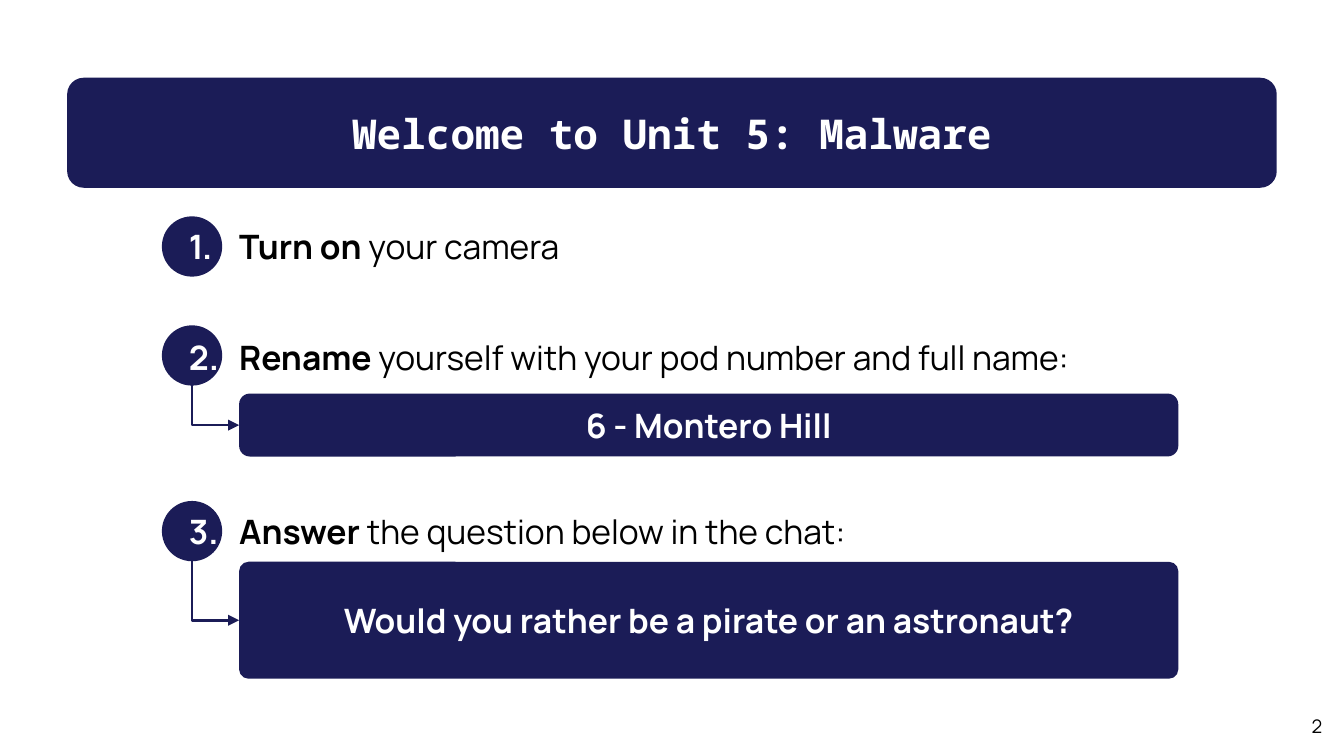
import dataclasses

import lxml.etree
import pptx
import pptx.dml.color
import pptx.enum.shapes
import pptx.enum.text
import pptx.oxml.ns
import pptx.util

Cm = pptx.util.Cm
Pt = pptx.util.Pt
ALIGN = pptx.enum.text.PP_ALIGN
SHAPE = pptx.enum.shapes.MSO_SHAPE
qn = pptx.oxml.ns.qn


@dataclasses.dataclass(frozen=True)
class Theme:
    navy: str = "1B1C57"
    white: str = "FFFFFF"
    black: str = "000000"
    body_font: str = "Manrope"
    title_font: str = "Noto Sans Mono"
    title_size: int = 22
    body_size: int = 18
    number_size: int = 10
    line_width: float = 1.5


def rgb(value):
    return pptx.dml.color.RGBColor.from_string(value)


def add_run(paragraph, text, *, font, size, color, bold=False):
    run = paragraph.add_run()
    run.text = text
    run.font.name = font
    run.font.size = Pt(size)
    run.font.bold = bold
    run.font.color.rgb = rgb(color)


class SlideBuilder:
    def __init__(self, slide, theme):
        self.slide = slide
        self.theme = theme

    def prepare_text(self, shape, align):
        frame = shape.text_frame
        frame.word_wrap = True
        frame.vertical_anchor = pptx.enum.text.MSO_ANCHOR.MIDDLE
        frame.margin_left = frame.margin_right = Cm(0.25)
        frame.margin_top = frame.margin_bottom = Cm(0.25)
        paragraph = frame.paragraphs[0]
        paragraph.alignment = align
        return paragraph

    def filled_shape(self, kind, left, top, width, height):
        shape = self.slide.shapes.add_shape(
            kind, Cm(left), Cm(top), Cm(width), Cm(height))
        shape.shadow.inherit = False
        shape.fill.solid()
        shape.fill.fore_color.rgb = rgb(self.theme.navy)
        shape.line.fill.background()
        return shape

    def bar(self, text, left, top, width, height, corner, font, size):
        shape = self.filled_shape(
            SHAPE.ROUNDED_RECTANGLE, left, top, width, height)
        shape.adjustments[0] = corner
        paragraph = self.prepare_text(shape, ALIGN.CENTER)
        add_run(paragraph, text, font=font, size=size,
                color=self.theme.white, bold=True)

    def text_box(self, left, top, width, height, align):
        box = self.slide.shapes.add_textbox(
            Cm(left), Cm(top), Cm(width), Cm(height))
        return self.prepare_text(box, align)

    def step(self, number, lead, rest, left, top, width, height):
        paragraph = self.text_box(left, top, width, height, ALIGN.LEFT)
        # White automatic number with a hanging indent
        properties = paragraph._p.get_or_add_pPr()
        properties.set("marL", str(Cm(1.27)))
        properties.set("indent", str(-Cm(0.95)))
        color = lxml.etree.SubElement(properties, qn("a:buClr"))
        lxml.etree.SubElement(color, qn("a:srgbClr"), val=self.theme.white)
        lxml.etree.SubElement(properties, qn("a:buFont"),
                              typeface=self.theme.body_font)
        lxml.etree.SubElement(properties, qn("a:buAutoNum"),
                              type="arabicPeriod", startAt=str(number))
        style = dict(font=self.theme.body_font, size=self.theme.body_size,
                     color=self.theme.black)
        add_run(paragraph, lead, bold=True, **style)
        add_run(paragraph, rest, **style)

    def elbow_arrow(self, start_x, start_y, end_x, end_y):
        """Go down, then right: a mirrored elbow turned by 270 degrees."""
        middle_x, middle_y = (start_x + end_x) / 2, (start_y + end_y) / 2
        half_run, half_drop = (end_x - start_x) / 2, (end_y - start_y) / 2
        connector = self.slide.shapes.add_connector(
            pptx.enum.shapes.MSO_CONNECTOR.ELBOW,
            Cm(middle_x + half_drop), Cm(middle_y - half_run),
            Cm(middle_x - half_drop), Cm(middle_y + half_run))
        connector.line.color.rgb = rgb(self.theme.navy)
        connector.line.width = Pt(self.theme.line_width)
        properties = connector.element.spPr
        properties.find(qn("a:xfrm")).set("rot", "16200000")
        properties.find(qn("a:prstGeom")).set("prst", "bentConnector2")
        lxml.etree.SubElement(properties.find(qn("a:ln")), qn("a:tailEnd"),
                              type="triangle")
        lxml.etree.SubElement(properties, qn("a:effectLst"))


def main():
    presentation = pptx.Presentation()
    presentation.slide_width = Cm(25.4)
    presentation.slide_height = Cm(14.29)
    slide = presentation.slides.add_slide(presentation.slide_layouts[6])
    theme = Theme()
    builder = SlideBuilder(slide, theme)

    # Title banner
    builder.bar("Welcome to Unit 5: Malware", 1.27, 1.47, 22.86, 2.08, 0.15,
                theme.title_font, theme.title_size)

    # Numbered steps: circle top, text top and height, answer bar
    circle_left, diameter = 3.06, 1.14
    bar_left, bar_width = 4.52, 17.75
    steps = [
        ("Turn on ", "your camera", 4.09, 3.68, 1.96, None),
        ("Rename ", "yourself with your pod number and full name:",
         6.15, 6.07, 1.37, ("6 - Montero Hill", 7.44, 1.19, 0.17)),
        ("Answer ", "the question below in the chat:", 9.47, 9.47, 1.14,
         ("Would you rather be a pirate or an astronaut?",
          10.62, 2.21, 0.08)),
    ]
    for number, step in enumerate(steps, start=1):
        lead, rest, circle_top, text_top, text_height, answer = step
        if answer:
            text, bar_top, bar_height, corner = answer
            builder.elbow_arrow(
                circle_left + diameter / 2, circle_top + 0.6 * diameter,
                bar_left, bar_top + bar_height / 2)
            builder.bar(text, bar_left, bar_top, bar_width, bar_height,
                        corner, theme.body_font, theme.body_size)
        builder.filled_shape(SHAPE.OVAL, circle_left, circle_top,
                             diameter, diameter)
        builder.step(number, lead, rest, 3, text_top, 19.3, text_height)

    # Page number
    paragraph = builder.text_box(23.72, 13.31, 1.52, 0.84, ALIGN.RIGHT)
    add_run(paragraph, "2", font=theme.body_font, size=theme.number_size,
            color=theme.black)

    presentation.save("out.pptx")


if __name__ == "__main__":
    main()
